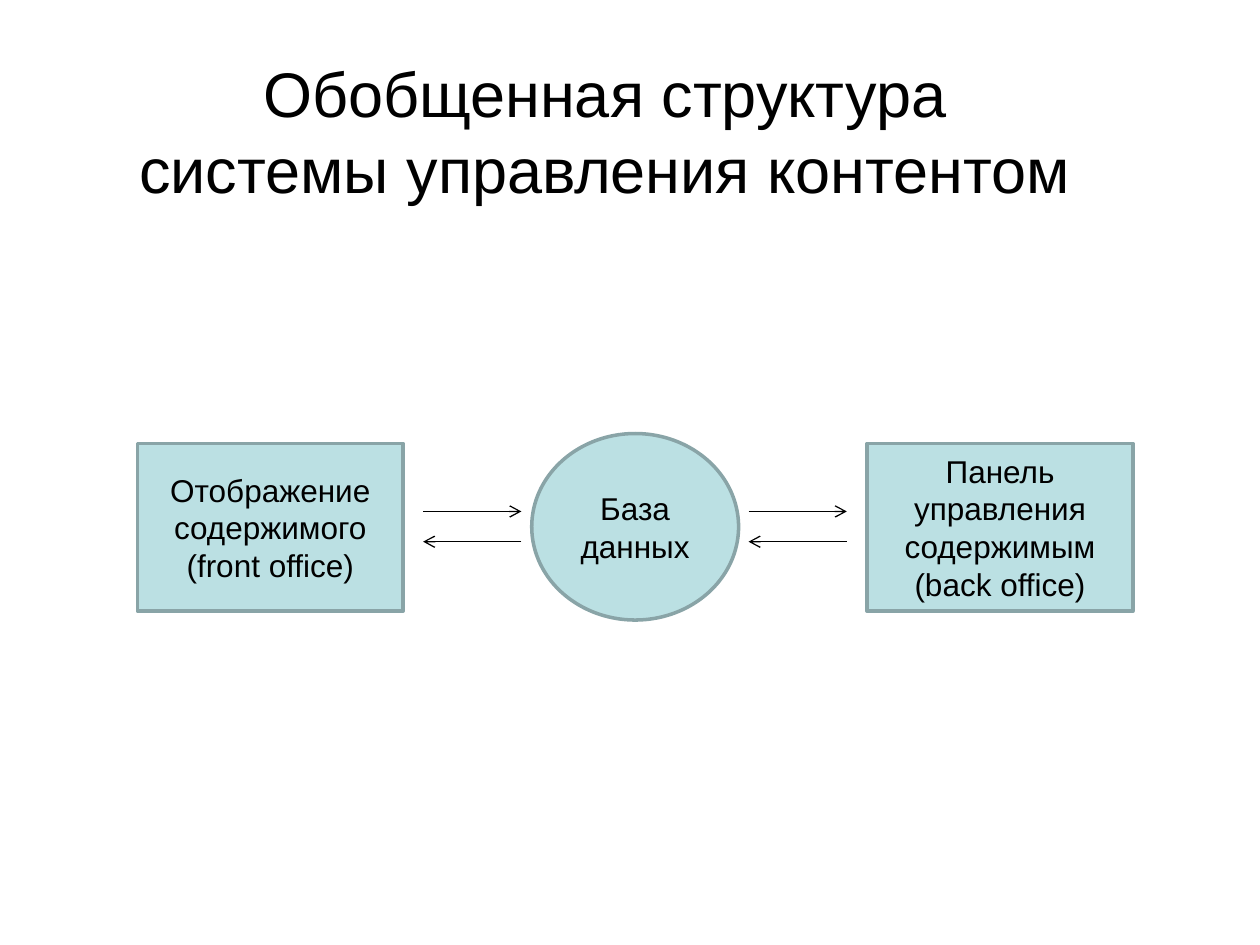
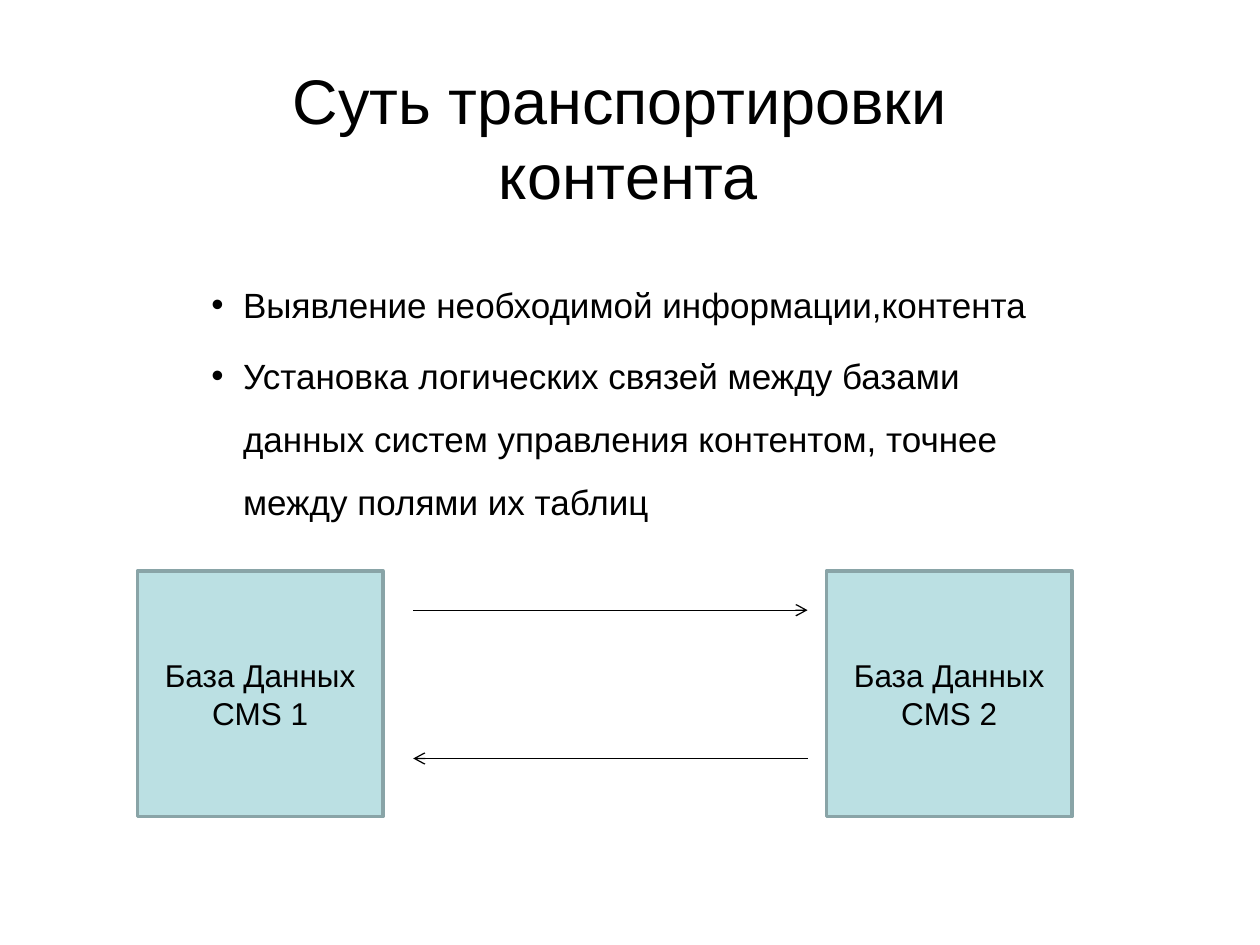
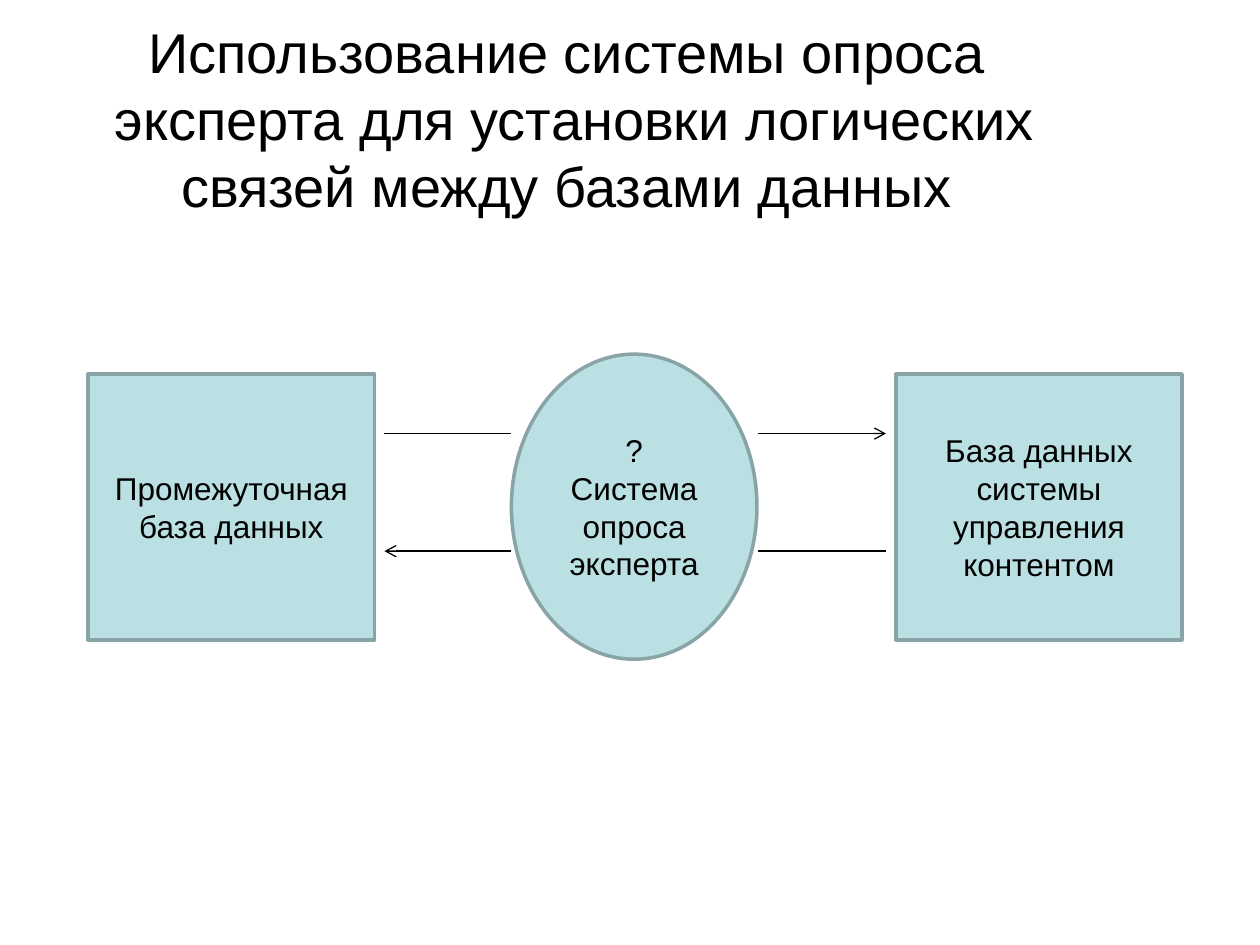
"""Builds three slides on moving content between content management systems."""
import pptx
import pptx.util
import pptx.dml.color
import pptx.enum.shapes
import pptx.enum.text
import pptx.oxml.ns
import lxml.etree

Cm = pptx.util.Cm
Pt = pptx.util.Pt
RECT = pptx.enum.shapes.MSO_SHAPE.RECTANGLE
OVAL = pptx.enum.shapes.MSO_SHAPE.OVAL
MID = pptx.enum.text.PP_ALIGN.CENTER
LEFT = pptx.enum.text.PP_ALIGN.LEFT


def hue(code):
    return pptx.dml.color.RGBColor.from_string(code)


def add(node, tag, **attrs):
    return lxml.etree.SubElement(node, pptx.oxml.ns.qn(tag), attrs)


class Deck:
    font = "Arial"
    ink = "000000"
    fill = "BBE0E3"
    edge = "89A4A7"

    def __init__(self):
        self.show = pptx.Presentation()
        self.show.slide_width = Cm(25.4)
        self.show.slide_height = Cm(19.05)
        self.slide = None

    def label(self, frame, text, size, align=MID):
        frame.text = text
        frame.word_wrap = True
        frame.auto_size = pptx.enum.text.MSO_AUTO_SIZE.NONE
        for para in frame.paragraphs:
            para.alignment = align
            for run in para.runs:
                run.font.name = self.font
                run.font.size = Pt(size)
                run.font.color.rgb = hue(self.ink)

    def page(self, text, left, top, width=21.59, height=4.09, size=36):
        self.slide = self.show.slides.add_slide(self.show.slide_layouts[5])
        title = self.slide.shapes.title
        title.left, title.top = Cm(left), Cm(top)
        title.width, title.height = Cm(width), Cm(height)
        self.label(title.text_frame, text, size)
        title.text_frame.vertical_anchor = pptx.enum.text.MSO_ANCHOR.MIDDLE

    def node(self, kind, text, left, top, width, height):
        shape = self.slide.shapes.add_shape(
            kind, Cm(left), Cm(top), Cm(width), Cm(height))
        shape.shadow.inherit = False
        shape.fill.solid()
        shape.fill.fore_color.rgb = hue(self.fill)
        shape.line.color.rgb = hue(self.edge)
        shape.line.width = Pt(2)
        self.label(shape.text_frame, text, 18)
        shape.text_frame.vertical_anchor = pptx.enum.text.MSO_ANCHOR.MIDDLE

    def line(self, start, end, level, head=True):
        link = self.slide.shapes.add_connector(
            pptx.enum.shapes.MSO_CONNECTOR.STRAIGHT,
            Cm(start), Cm(level), Cm(end), Cm(level))
        link.line.color.rgb = hue(self.ink)
        link.line.width = Pt(0.75)
        props = link._element.spPr
        if head:
            add(props.get_or_add_ln(), "a:tailEnd", type="arrow")
        add(props, "a:effectLst")

    def pair(self, left, right, high, low, out=True, back=True):
        self.line(left, right, high, out)
        self.line(right, left, low, back)

    def points(self, text, left, top, width, height):
        box = self.slide.shapes.add_textbox(
            Cm(left), Cm(top), Cm(width), Cm(height))
        self.label(box.text_frame, text, 20, LEFT)
        box.text_frame.margin_right = Cm(0.35)
        for para in box.text_frame.paragraphs:
            para.line_spacing = 1.5
            para.space_before = Pt(5)
            props = para._p.get_or_add_pPr()
            props.set("marL", str(Cm(1.27)))
            props.set("indent", str(-Cm(0.64)))
            add(props, "a:buFont", typeface=self.font)
            add(props, "a:buChar", char="•")


def main():
    deck = Deck()

    deck.page("Обобщенная структура\vсистемы управления контентом", 1.4, 0.58)
    deck.node(OVAL, "База данных", 10.72, 8.74, 4.17, 3.76)
    sides = [(2.77, "Отображение содержимого\n(front office)"),
             (17.48, "Панель управления содержимым\n(back office)")]
    for left, text in sides:
        deck.node(RECT, text, left, 8.94, 5.36, 3.38)
    for left in (8.53, 15.09):
        deck.pair(left, left + 1.98, 10.31, 10.92)

    deck.page("Суть транспортировки\v контента", 1.7, 0.71)
    deck.points("Выявление необходимой информации,контента\n"
                "Установка логических связей между базами данных систем "
                "управления контентом, точнее между полями их таблиц",
                3.38, 5.16, 18.8, 4.57)
    for left, text in [(2.77, "База Данных\nСMS 1"),
                       (16.66, "База Данных\nСMS 2")]:
        deck.node(RECT, text, left, 11.51, 4.95, 4.95)
    deck.pair(8.33, 16.28, 12.3, 15.29)

    deck.page("Использование системы опроса\v эксперта для установки "
              "логических связей между базами данных",
              0, 0.79, 22.86, 3.18, 32)
    for left, text in [(1.78, "Промежуточная база данных"),
                       (18.06, "База данных системы управления контентом")]:
        deck.node(RECT, text, left, 7.54, 5.77, 5.36)
    deck.node(OVAL, "?\nСистема опроса эксперта", 10.31, 7.14, 4.95, 6.15)
    deck.pair(7.75, 10.31, 8.74, 11.11, out=False)
    deck.pair(15.29, 17.86, 8.74, 11.11, back=False)

    deck.show.save("out.pptx")


if __name__ == "__main__":
    main()
